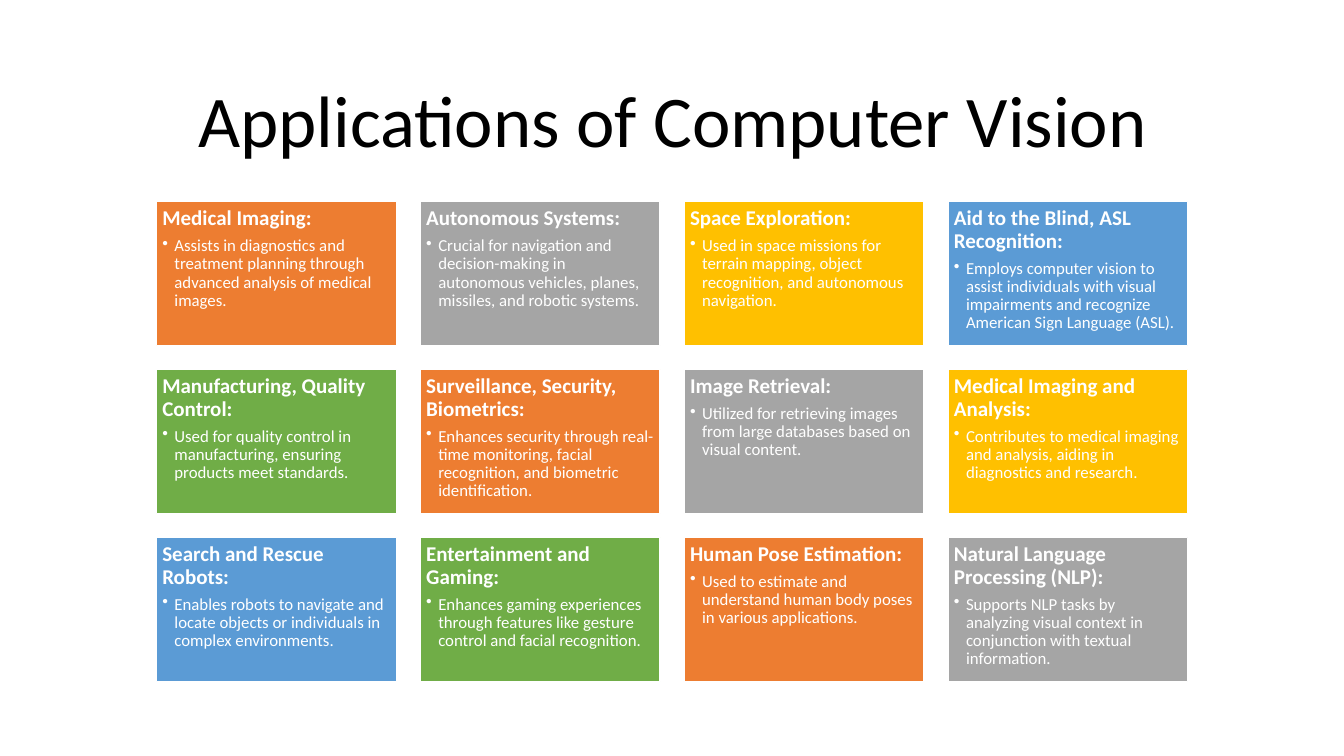
from lxml import etree
from pptx import Presentation
from pptx.dml.color import RGBColor
from pptx.enum.shapes import MSO_SHAPE
from pptx.enum.text import MSO_ANCHOR, MSO_AUTO_SIZE, PP_ALIGN
from pptx.oxml.ns import qn
from pptx.util import Inches, Pt

RECT = MSO_SHAPE.RECTANGLE
TOP, MIDDLE = MSO_ANCHOR.TOP, MSO_ANCHOR.MIDDLE
LEFT, CENTER = PP_ALIGN.LEFT, PP_ALIGN.CENTER
NO_FIT = MSO_AUTO_SIZE.NONE

BLACK = RGBColor(0x00, 0x00, 0x00)
WHITE = RGBColor(0xFF, 0xFF, 0xFF)
ORANGE = RGBColor(0xED, 0x7D, 0x31)
GRAY = RGBColor(0xA5, 0xA5, 0xA5)
YELLOW = RGBColor(0xFF, 0xC0, 0x00)
BLUE = RGBColor(0x5B, 0x9B, 0xD5)
GREEN = RGBColor(0x70, 0xAD, 0x47)
CARD_COLORS = [ORANGE, GRAY, YELLOW, BLUE, GREEN]

# Card grid, in inches
COLS = 4
GRID_LEFT, GRID_TOP = 1.55, 2.0
CARD_W, CARD_H = 2.38, 1.43
COL_STEP, ROW_STEP = 2.617, 1.665
INSET = Inches(0.06)
INDENT = Inches(0.12)

APPLICATIONS = [
    ("Medical Imaging:",
     "Assists in diagnostics and treatment planning through advanced analysis of medical images."),
    ("Autonomous Systems:",
     "Crucial for navigation and decision-making in autonomous vehicles, planes, missiles, "
     "and robotic systems."),
    ("Space Exploration:",
     "Used in space missions for terrain mapping, object recognition, and autonomous navigation."),
    ("Aid to the Blind, ASL Recognition:",
     "Employs computer vision to assist individuals with visual impairments and recognize "
     "American Sign Language (ASL)."),
    ("Manufacturing, Quality Control:",
     "Used for quality control in manufacturing, ensuring products meet standards."),
    ("Surveillance, Security, Biometrics:",
     "Enhances security through real-time monitoring, facial recognition, and biometric "
     "identification."),
    ("Image Retrieval:",
     "Utilized for retrieving images from large databases based on visual content."),
    ("Medical Imaging and Analysis:",
     "Contributes to medical imaging and analysis, aiding in diagnostics and research."),
    ("Search and Rescue Robots:",
     "Enables robots to navigate and locate objects or individuals in complex environments."),
    ("Entertainment and Gaming:",
     "Enhances gaming experiences through features like gesture control and facial recognition."),
    ("Human Pose Estimation:",
     "Used to estimate and understand human body poses in various applications."),
    ("Natural Language Processing (NLP):",
     "Supports NLP tasks by analyzing visual context in conjunction with textual information."),
]


def write(p, text, size, color=WHITE, bold=False, align=LEFT, after=0, bullet=False):
    if bullet:
        p.level = 1
        pPr = p._p.get_or_add_pPr()
        pPr.set("marL", str(INDENT))
        pPr.set("indent", str(-INDENT))
        etree.SubElement(pPr, qn("a:buChar")).set("char", "•")
    p.alignment = align
    p.line_spacing = 0.9
    p.space_after = Pt(after)
    r = p.add_run()
    r.text = text
    r.font.name = "Calibri"
    r.font.size = Pt(size)
    r.font.bold = bold
    r.font.color.rgb = color


prs = Presentation()
prs.slide_width, prs.slide_height = Inches(13.33), Inches(7.5)
s = prs.slides.add_slide(prs.slide_layouts[5])

# Title
title = s.shapes.title
title.left, title.top = Inches(0.92), Inches(0.61)
title.width, title.height = Inches(11.5), Inches(1.24)
tf = title.text_frame
tf.auto_size = NO_FIT
tf.vertical_anchor = MIDDLE
write(tf.paragraphs[0], "Applications of Computer Vision", 52, color=BLACK, align=CENTER)

# Cards, row by row, with the colours repeating in order
for i, (heading, detail) in enumerate(APPLICATIONS):
    row, col = divmod(i, COLS)
    sp = s.shapes.add_shape(RECT, Inches(GRID_LEFT + col * COL_STEP),
                            Inches(GRID_TOP + row * ROW_STEP),
                            Inches(CARD_W), Inches(CARD_H))
    sp.shadow.inherit = False
    sp.fill.solid()
    sp.fill.fore_color.rgb = CARD_COLORS[i % len(CARD_COLORS)]
    sp.line.color.rgb = WHITE
    sp.line.width = Pt(1)
    tf = sp.text_frame
    tf.word_wrap = True
    tf.vertical_anchor = TOP
    tf.margin_left = tf.margin_right = tf.margin_top = tf.margin_bottom = INSET
    write(tf.paragraphs[0], heading, 15, bold=True, after=5)
    write(tf.add_paragraph(), detail, 12, bullet=True)

prs.save("out.pptx")
